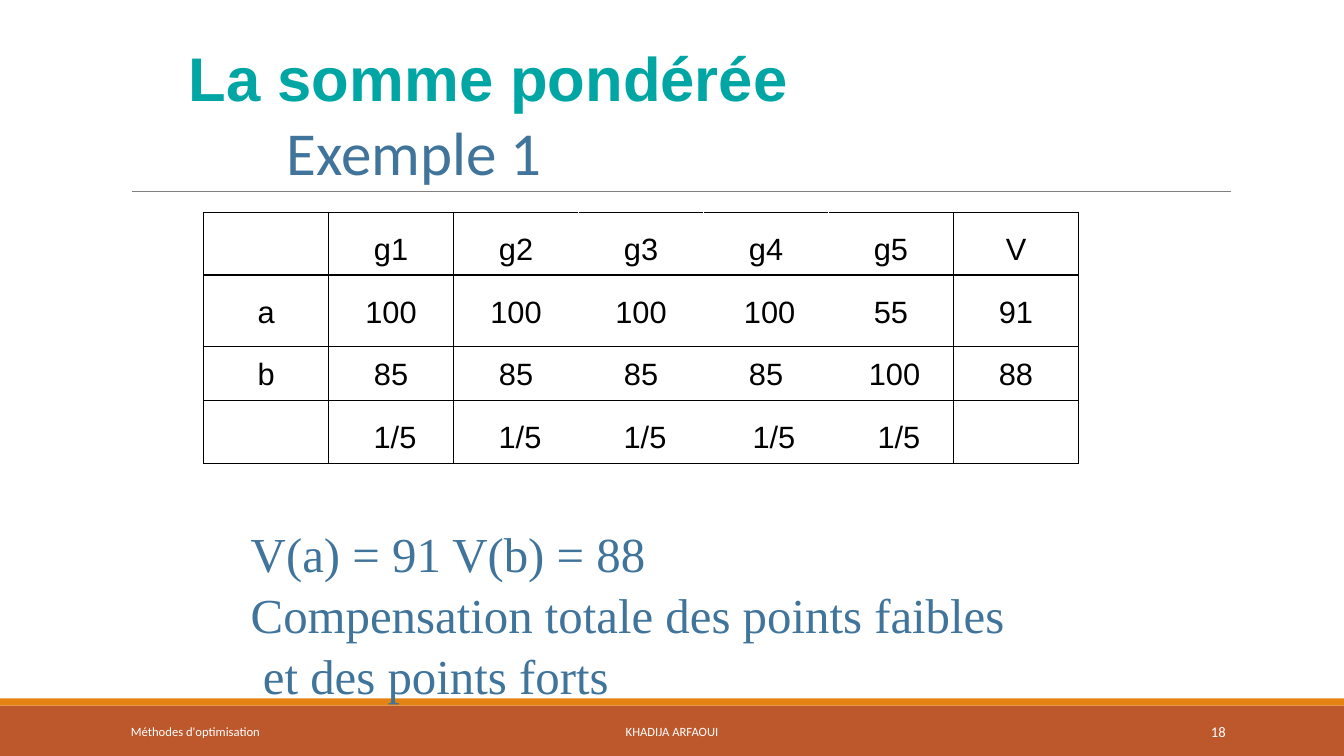
from lxml import etree
from pptx import Presentation
from pptx.dml.color import RGBColor
from pptx.enum.shapes import MSO_CONNECTOR, MSO_SHAPE
from pptx.enum.text import MSO_ANCHOR, PP_ALIGN
from pptx.oxml.ns import qn
from pptx.util import Cm, Pt

RECTANGLE = MSO_SHAPE.RECTANGLE
STRAIGHT = MSO_CONNECTOR.STRAIGHT
TOP, MIDDLE, BOTTOM = MSO_ANCHOR.TOP, MSO_ANCHOR.MIDDLE, MSO_ANCHOR.BOTTOM
LEFT, CENTER, RIGHT = PP_ALIGN.LEFT, PP_ALIGN.CENTER, PP_ALIGN.RIGHT

TEAL, BLUE, BLACK, WHITE = "00A6A3", "40749B", "000000", "FFFFFF"
RUST, ORANGE, GREY = "BD582C", "E48312", "808080"

SCORES = [
    ["", "g1", "g2", "g3", "g4", "g5", "V"],
    ["a", "100", "100", "100", "100", "55", "91"],
    ["b", "85", "85", "85", "85", "100", "88"],
    ["", "1/5", "1/5", "1/5", "1/5", "1/5", ""],
]
ROW_HEIGHTS = [1.58, 1.8, 1.36, 1.58]
COLUMN_WIDTH = 3.15
RULED_COLUMNS = (0, 1, 2, 6)
RIGHT_ALIGNED = {(1, 4), (2, 5), (3, 4), (3, 5)}


def color(value):
    return RGBColor.from_string(value)


def format_run(span, size, font, ink, bold=False):
    span.font.size = Pt(size)
    span.font.name = font
    span.font.color.rgb = color(ink)
    span.font.bold = bold


def set_indent(para, left, first=0):
    properties = para._p.get_or_add_pPr()
    properties.set("marL", str(Cm(left)))
    properties.set("indent", str(Cm(first)))


def set_margins(frame, top):
    frame.margin_left = frame.margin_right = frame.margin_bottom = 0
    frame.margin_top = Cm(top)


def add_band(page, top, height, fill):
    band = page.shapes.add_shape(RECTANGLE, 0, Cm(top), Cm(33.87), Cm(height))
    band.shadow.inherit = False
    band.fill.solid()
    band.fill.fore_color.rgb = color(fill)
    band.line.fill.background()


def add_rule(page, left, right, top):
    rule = page.shapes.add_connector(STRAIGHT, Cm(left), Cm(top), Cm(right), Cm(top))
    rule.line.color.rgb = color(GREY)
    rule.line.width = Pt(0.5)
    etree.SubElement(rule._element.spPr, qn("a:effectLst"))


def place_title(page):
    title = page.shapes.title
    title.left, title.top, title.width, title.height = Cm(-0.2), Cm(0.76), Cm(30.48), Cm(3.96)
    frame = title.text_frame
    frame.text = "La somme pondérée\vExemple 1"
    frame.vertical_anchor = BOTTOM
    set_margins(frame, 0.23)
    para = frame.paragraphs[0]
    para.alignment = LEFT
    para.space_before = Pt(1)
    set_indent(para, 7.42, -2.46)
    heading, example = para.runs
    format_run(heading, 44, "Arial", TEAL, bold=True)
    format_run(example, 43.6, "Calibri", BLUE)


def add_text(page, left, top, width, height, text, size, font, ink, align=LEFT, anchor=TOP):
    box = page.shapes.add_textbox(Cm(left), Cm(top), Cm(width), Cm(height))
    frame = box.text_frame
    frame.word_wrap = True
    frame.vertical_anchor = anchor
    frame.text = text
    for para in frame.paragraphs:
        para.alignment = align
        for span in para.runs:
            format_run(span, size, font, ink)
    return frame


def set_borders(cell, sides):
    properties = cell._tc.get_or_add_tcPr()
    for position, side in enumerate(sides):
        border = etree.Element(qn(f"a:ln{side}"), w=str(Pt(1)))
        fill = etree.SubElement(border, qn("a:solidFill"))
        etree.SubElement(fill, qn("a:srgbClr"), val=BLACK)
        properties.insert(position, border)


def fill_cell(cell, row, column, text):
    right_aligned = (row, column) in RIGHT_ALIGNED
    tight = row == 2
    cell.text = text
    cell.fill.background()
    set_margins(cell, 0.28 if tight else 0.51)
    para = cell.text_frame.paragraphs[0]
    para.alignment = RIGHT if right_aligned else CENTER
    para.space_before = Pt(7.5 if tight else 13.2)
    if right_aligned:
        cell.margin_right = Cm(0.84)
    elif row == 3:
        set_indent(para, 0.2)
    for span in para.runs:
        format_run(span, 22, "Arial", BLACK)
    left = "L" if column in RULED_COLUMNS else ""
    right = "R" if column + 1 in (*RULED_COLUMNS, len(SCORES[0])) else ""
    set_borders(cell, left + right + "TB")


def add_scores(page):
    rows, columns = len(SCORES), len(SCORES[0])
    table = page.shapes.add_table(
        rows, columns, Cm(5.13), Cm(5.35), Cm(COLUMN_WIDTH * columns), Cm(sum(ROW_HEIGHTS))
    ).table
    table.first_row = table.horz_banding = False
    for column in table.columns:
        column.width = Cm(COLUMN_WIDTH)
    for row, texts in enumerate(SCORES):
        table.rows[row].height = Cm(ROW_HEIGHTS[row])
        for column, text in enumerate(texts):
            fill_cell(table.cell(row, column), row, column, text)


def add_conclusion(page):
    text = "V(a) = 91 V(b) = 88\nCompensation totale des points faibles\v et des points forts"
    frame = add_text(page, 6.27, 13.08, 19.1, 4.52, text, 34.9, "Times New Roman", BLUE)
    set_margins(frame, 0.05)
    for para in frame.paragraphs:
        para.line_spacing = 1.04
        set_indent(para, 0.05)
    frame.paragraphs[0].space_before = Pt(1.1)


def add_footer(page):
    for left, width, text, size, align in (
        (3.05, 6.86, "Méthodes d'optimisation", 9, LEFT),
        (10.24, 13.39, "KHADIJA ARFAOUI", 9, CENTER),
        (27.51, 3.63, "18", 10.5, RIGHT),
    ):
        add_text(page, left, 17.93, width, 1.02, text, size, "Calibri", WHITE, align, MIDDLE)


def main():
    deck = Presentation()
    deck.slide_width, deck.slide_height = Cm(33.87), Cm(19.05)
    page = deck.slides.add_slide(deck.slide_layouts[5])
    add_band(page, 17.78, 1.27, RUST)
    add_band(page, 17.6, 0.18, ORANGE)
    add_rule(page, 3.33, 31.01, 4.83)
    place_title(page)
    add_scores(page)
    add_conclusion(page)
    add_footer(page)
    deck.save("out.pptx")


if __name__ == "__main__":
    main()
